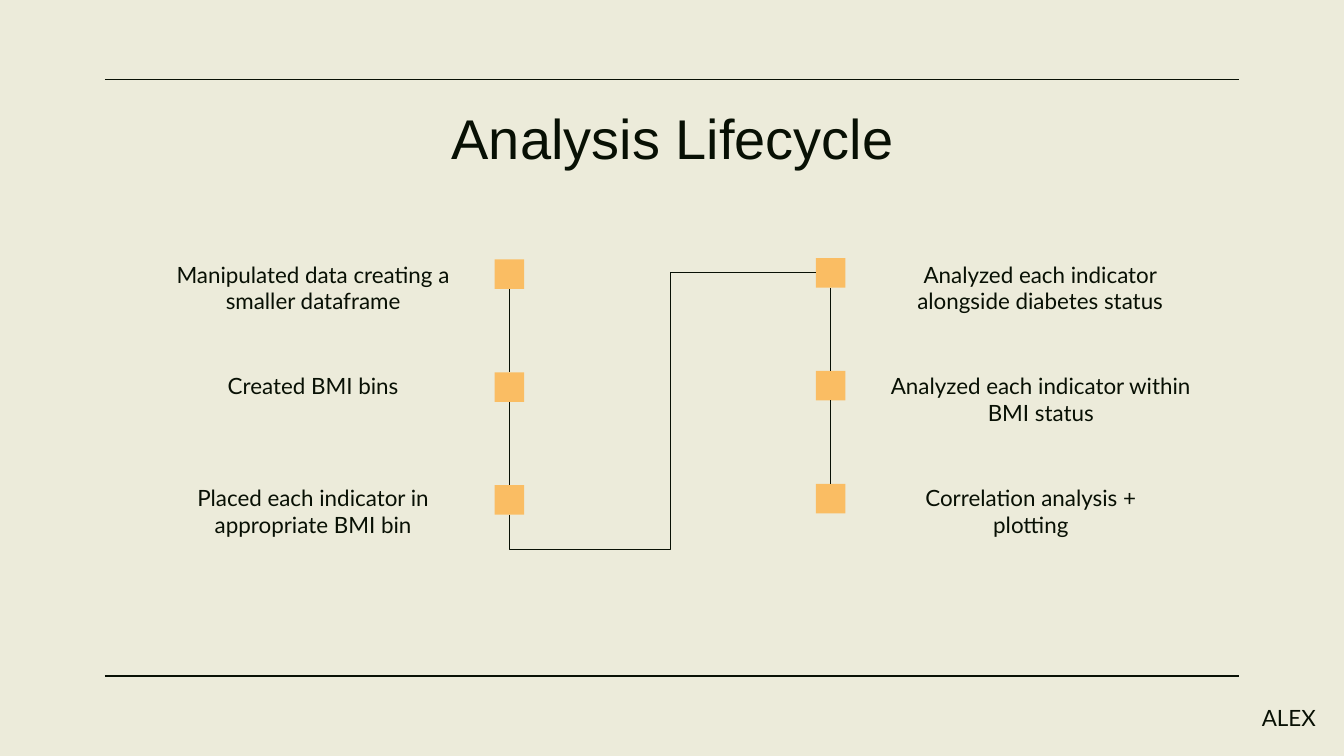
from lxml import etree
from pptx import Presentation
from pptx.dml.color import RGBColor
from pptx.enum.shapes import MSO_CONNECTOR, MSO_SHAPE
from pptx.enum.text import MSO_ANCHOR, PP_ALIGN
from pptx.oxml.ns import qn
from pptx.util import Inches, Pt

INK = RGBColor(0x08, 0x10, 0x04)
PAPER = RGBColor(0xEC, 0xEB, 0xDA)
ORANGE = RGBColor(0xFA, 0xBD, 0x63)

TITLE = "Analysis Lifecycle"
AUTHOR = "ALEX"
COLUMNS = [
    {"marker": (3.68, 1.93), "steps": [
        ("Manipulated data creating a smaller dataframe", 1.19, 2.28),
        ("Created BMI bins", 1.19, 2.28),
        ("Placed each indicator in appropriate BMI bin", 1.19, 2.28)]},
    {"marker": (6.07, 1.92), "steps": [
        ("Analyzed each indicator alongside diabetes status", 6.6, 2.28),
        ("Analyzed each indicator within BMI status", 6.53, 2.43),
        ("Correlation analysis + plotting", 6.53, 2.28)]},
]
RULES = [0.59, 5.03]
LABEL_TOP, LABEL_PITCH, LABEL_HEIGHT = 1.84, 0.83, 0.57
MARKER, MARKER_PITCH = 0.22, 0.84
LINK_BOTTOM, LINK_MIDDLE = 4.09, 4.99

prs = Presentation()
prs.slide_width = Inches(10)
prs.slide_height = prs.slide_width * 9 // 16
s = prs.slides.add_slide(prs.slide_layouts[6])
s.background.fill.solid()
s.background.fill.fore_color.rgb = PAPER


def add_line(x1, y1, x2, y2, kind=MSO_CONNECTOR.STRAIGHT):
    c = s.shapes.add_connector(kind, *map(Inches, (x1, y1, x2, y2)))
    c.line.color.rgb = INK
    c.line.width = Pt(0.75)
    etree.SubElement(c._element.spPr, qn("a:effectLst"))
    return c


def add_upward_link(x1, y1, x2, y2):
    rise, run = y1 - y2, x2 - x1
    left, top = (x1 + x2 - rise) / 2, (y1 + y2 - run) / 2
    c = add_line(left, top, left + rise, top + run, MSO_CONNECTOR.ELBOW)
    spPr = c._element.spPr
    spPr.find(qn("a:xfrm")).set("rot", str(270 * 60000))
    geom = spPr.find(qn("a:prstGeom"))
    geom.set("prst", "bentConnector4")
    bends = {"adj1": (y1 - LINK_BOTTOM) / rise, "adj2": (LINK_MIDDLE - x1) / run}
    for name, share in bends.items():
        etree.SubElement(geom.find(qn("a:avLst")), qn("a:gd"),
                         name=name, fmla=f"val {round(share * 100000)}")


def add_text(text, box, align=PP_ALIGN.CENTER, size=12, font="Lato", after=0):
    tf = s.shapes.add_textbox(*map(Inches, box)).text_frame
    frame = {"word_wrap": True, "vertical_anchor": MSO_ANCHOR.TOP}
    for side in ("left", "right", "top", "bottom"):
        frame[f"margin_{side}"] = Inches(0.1)
    for name, value in frame.items():
        setattr(tf, name, value)
    p = tf.paragraphs[0]
    p.alignment, p.space_after = align, Pt(after)
    r = p.add_run()
    r.text = text
    for name, value in {"size": Pt(size), "name": font}.items():
        setattr(r.font, name, value)
    r.font.color.rgb = INK


def add_marker(x, y):
    sp = s.shapes.add_shape(MSO_SHAPE.RECTANGLE, *map(Inches, (x, y, MARKER, MARKER)))
    sp.shadow.inherit = False
    sp.fill.solid()
    sp.fill.fore_color.rgb = ORANGE
    sp.line.fill.background()
    return sp


for y in RULES:
    add_line(0.78, y, 9.22, y)
add_text(TITLE, (0.79, 0.67, 8.43, 0.63), size=30, font="Arial")

for column in COLUMNS:
    x, y = column["marker"]
    markers = []
    for i, (text, left, width) in enumerate(column["steps"]):
        add_text(text, (left, LABEL_TOP + i * LABEL_PITCH, width, LABEL_HEIGHT))
        markers.append(add_marker(x, y + i * MARKER_PITCH))
    for upper, lower in zip(markers, markers[1:]):
        c = add_line(x, y, x, y)
        c.begin_connect(upper, 2)
        c.end_connect(lower, 0)

(x1, y1), (x2, y2) = (column["marker"] for column in COLUMNS)
add_upward_link(x1 + MARKER / 2, y1 + 2 * MARKER_PITCH + MARKER, x2, y2 + MARKER / 2)

add_text(AUTHOR, (7.53, 5.14, 2.36, 0.34), align=PP_ALIGN.RIGHT, after=16)

prs.save("out.pptx")
